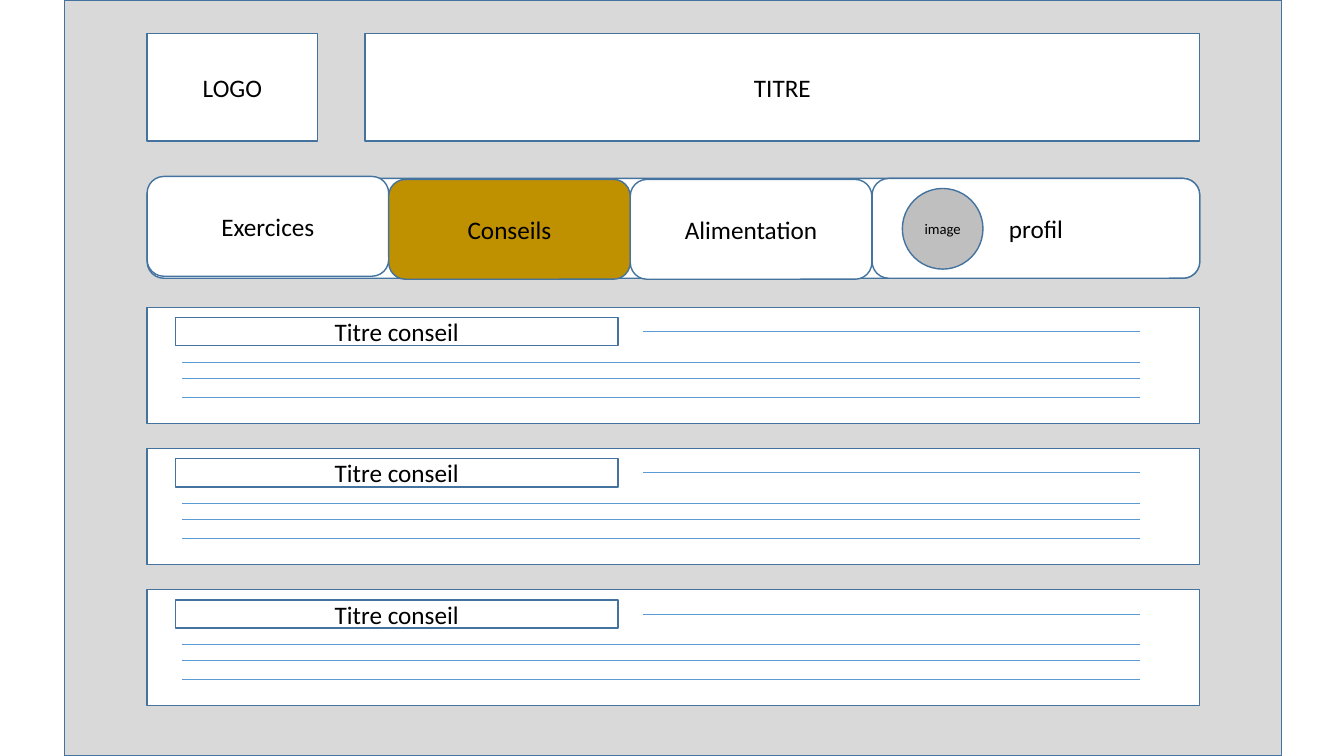
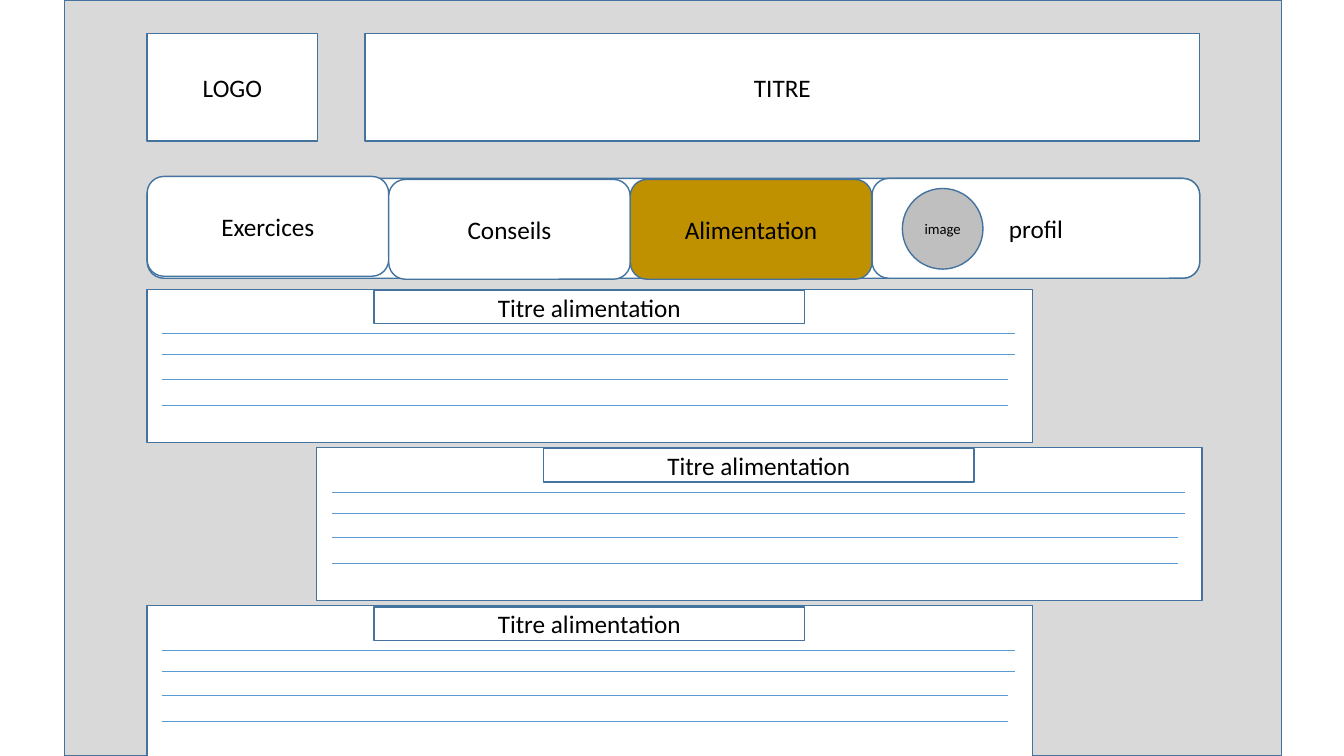
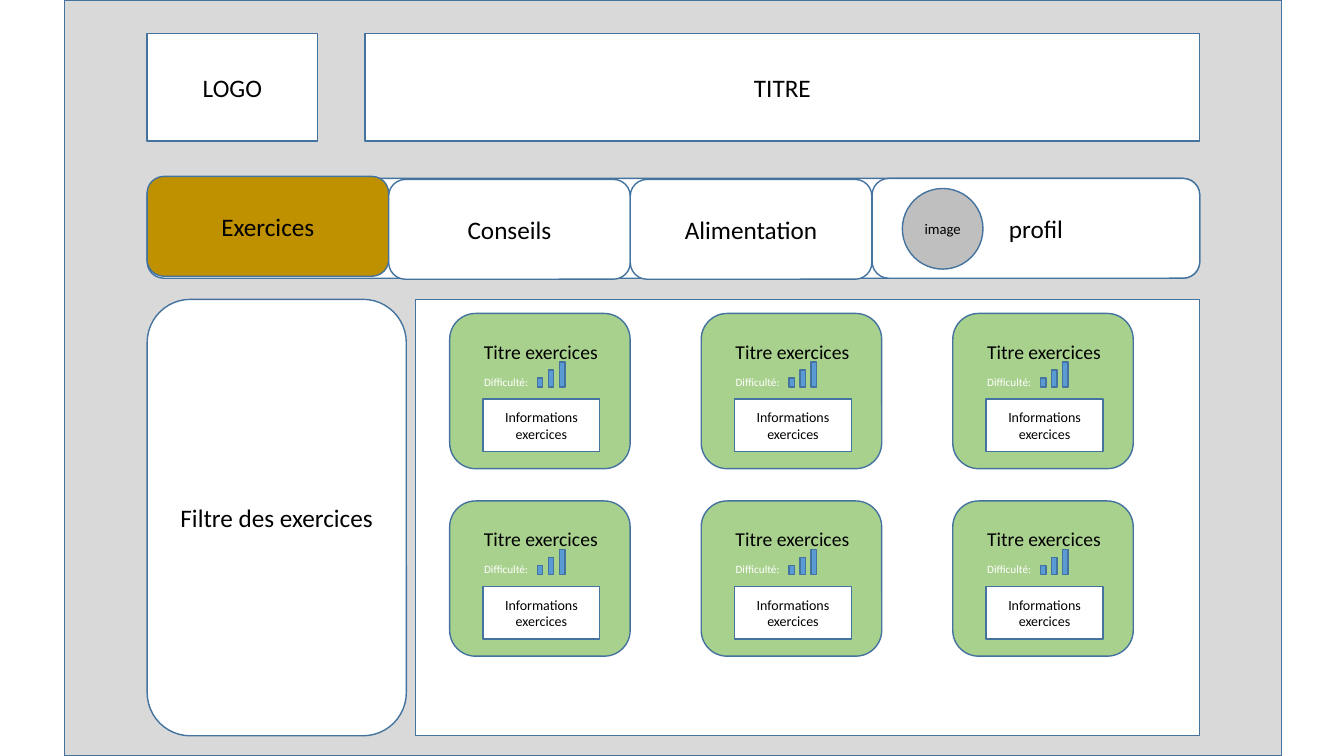
"""Build three wireframe slides of a fitness site: advice, food and exercises."""
from dataclasses import dataclass

from lxml.etree import SubElement
from pptx import Presentation
from pptx.dml.color import RGBColor
from pptx.enum.shapes import MSO_CONNECTOR, MSO_SHAPE
from pptx.enum.text import MSO_ANCHOR, MSO_AUTO_SIZE, PP_ALIGN
from pptx.oxml.ns import qn
from pptx.util import Inches, Pt


@dataclass(frozen=True)
class Theme:
    font: str = "Calibri"
    page: str = "D9D9D9"
    paper: str = "FFFFFF"
    edge: str = "43739E"
    rule: str = "5B9BD5"
    ink: str = "000000"
    active: str = "BF9000"
    photo: str = "BFBFBF"
    card: str = "A9D18E"
    large: float = 18
    medium: float = 14
    small: float = 10.5
    note: float = 10
    tiny: float = 8
    border: float = 1
    thin: float = 0.5


THEME = Theme()
SLIDE = (0, 0, 13.33, 7.5)
RECT, ROUND, OVAL = MSO_SHAPE.RECTANGLE, MSO_SHAPE.ROUNDED_RECTANGLE, MSO_SHAPE.OVAL

LOGO, TITLE, PROFILE, IMAGE = "LOGO", "TITRE", "profil", "image"
TABS = [("Exercices", -2), ("Conseils", 1), ("Alimentation", 1)]
FILTER = "Filtre des exercices"
DRILL = {"title": "Titre exercices", "level": "Difficulté:",
         "info": "Informations exercices"}
LEVELS = [5.84, 11.04, 16.23]

ADVICE = {
    "text": "Titre conseil",
    "shifts": [0, 0, 0],
    "first": 40.67, "step": 18.67, "size": (100, 15.33),
    "head": (2.68, 8.7, 42.05, 24.35),
    "rules": [(47.13, 94.35, 20.87), (3.35, 94.35, 46.96),
              (3.35, 94.35, 60.87), (3.35, 94.35, 77.39)],
}
FOOD = {
    "text": "Titre alimentation",
    "shifts": [0, 16.1, 0],
    "first": 38.27, "step": 20.93, "size": (84.1, 20.27),
    "head": (25.63, 0.8, 48.63, 21.7),
    "rules": [(1.71, 98.06, 28.95), (1.71, 98.06, 42.76),
              (1.71, 97.27, 58.55), (1.71, 97.27, 75.66)],
}


def part(box, x, y, w, h):
    """Return the box at the given percent shares of another box."""
    left, top, wide, high = box
    return (left + wide * x / 100, top + high * y / 100,
            wide * w / 100, high * h / 100)


PAGE = part(SLIDE, 4.8, 0, 90.55, 100)
BODY = part(SLIDE, 10.95, 0, 78.32, 100)
BAR = part(BODY, 0, 23.6, 100, 13.2)


def write(frame, text, size, color, **extra):
    """Put centred text in a frame."""
    for key, value in extra.items():
        setattr(frame, key, value)
    line = frame.paragraphs[0]
    line.alignment = PP_ALIGN.CENTER
    run = line.add_run()
    run.text = text
    run.font.color.rgb = RGBColor.from_string(color)
    for key, value in {"name": THEME.font, "size": Pt(size)}.items():
        setattr(run.font, key, value)


def block(slide, box, text="", kind=RECT, fill=THEME.paper, size=THEME.large):
    """Draw an outlined shape, with text if there is any."""
    shape = slide.shapes.add_shape(kind, *map(Inches, box))
    shape.shadow.inherit = False
    shape.fill.solid()
    shape.fill.fore_color.rgb = RGBColor.from_string(fill)
    shape.line.color.rgb = RGBColor.from_string(THEME.edge)
    shape.line.width = Pt(THEME.border)
    if text:
        write(shape.text_frame, text, size, THEME.ink,
              word_wrap=True, vertical_anchor=MSO_ANCHOR.MIDDLE)


def label(slide, box, text, size, color):
    """Add a plain text box."""
    shape = slide.shapes.add_textbox(*map(Inches, box))
    write(shape.text_frame, text, size, color,
          word_wrap=False, auto_size=MSO_AUTO_SIZE.SHAPE_TO_FIT_TEXT)


def rule(slide, box, start, end, y):
    """Draw a level line across a box."""
    left, top, width, _ = part(box, start, y, end - start, 0)
    line = slide.shapes.add_connector(
        MSO_CONNECTOR.STRAIGHT, *map(Inches, (left, top, left + width, top)))
    line.line.color.rgb = RGBColor.from_string(THEME.rule)
    line.line.width = Pt(THEME.thin)
    SubElement(line.element.spPr, qn("a:effectLst"))


def base(deck, active):
    """Add a slide with the page, the header and the tabs."""
    slide = deck.slides.add_slide(deck.slide_layouts[6])
    block(slide, PAGE, fill=THEME.page)
    block(slide, part(BODY, 0, 4.4, 16.19, 14.27), LOGO)
    block(slide, part(BODY, 20.69, 4.4, 79.31, 14.27), TITLE)
    block(slide, BAR, kind=ROUND)
    profile = part(BAR, 68.87, 0, 31.13, 100)
    block(slide, profile, PROFILE, ROUND)
    for col, (name, lift) in enumerate(TABS):
        fill = THEME.active if name == active else THEME.paper
        block(slide, part(BAR, col * 22.95, lift, 22.95, 100), name, ROUND, fill)
    block(slide, part(profile, 9.23, 10.1, 24.6, 80.8), IMAGE, OVAL,
          THEME.photo, THEME.small)
    return slide


def stack(slide, plan):
    """Draw a column of cards with a heading and ruled lines."""
    for row, shift in enumerate(plan["shifts"]):
        card = part(BODY, shift, plan["first"] + row * plan["step"], *plan["size"])
        block(slide, card)
        block(slide, part(card, *plan["head"]), plan["text"])
        for span in plan["rules"]:
            rule(slide, card, *span)


def drill(slide, card):
    """Draw one exercise card."""
    block(slide, card, kind=ROUND, fill=THEME.card)
    label(slide, part(card, 9.5, 13.64, 82.12, 22.08), DRILL["title"],
          THEME.medium, THEME.ink)
    label(slide, part(card, 9.5, 36.36, 43.58, 15.58), DRILL["level"],
          THEME.tiny, THEME.paper)
    for col, high in enumerate(LEVELS):
        block(slide, part(card, 48.6 + col * 6.15, 47.4 - high, 3, high),
              fill=THEME.rule)
    block(slide, part(card, 18.44, 55.19, 64.8, 33.77), DRILL["info"],
          size=THEME.note)


def drills(slide):
    """Draw the filter and the grid of exercise cards."""
    block(slide, part(BODY, 0, 39.6, 24.62, 57.73), FILTER, ROUND)
    panel = part(BODY, 25.48, 39.6, 74.52, 57.73)
    block(slide, panel)
    for row in range(2):
        for col in range(3):
            drill(slide, part(panel, 4.37 + col * 32.07, 3.23 + row * 42.96,
                              23.01, 35.57))


deck = Presentation()
deck.slide_width, deck.slide_height = map(Inches, SLIDE[2:])
stack(base(deck, "Conseils"), ADVICE)
stack(base(deck, "Alimentation"), FOOD)
drills(base(deck, "Exercices"))
deck.save("out.pptx")
